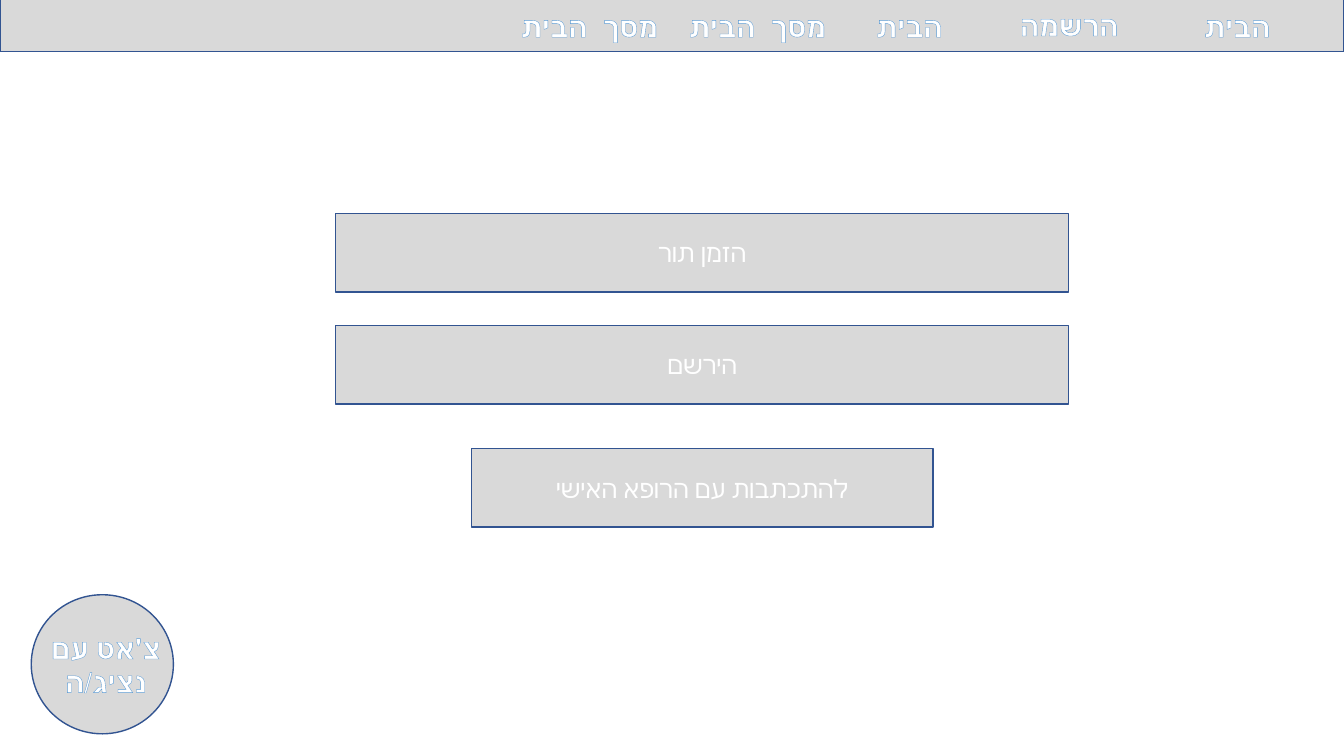
from lxml import etree
from pptx import Presentation
from pptx.dml.color import RGBColor
from pptx.enum.shapes import MSO_SHAPE
from pptx.enum.text import MSO_ANCHOR, PP_ALIGN
from pptx.oxml.ns import qn
from pptx.util import Inches, Pt

WIDE, HIGH = 13.33, 7.5
GREY = RGBColor(0xD9, 0xD9, 0xD9)
NAVY = RGBColor(0x32, 0x54, 0x91)
BLUE = RGBColor(0x5B, 0x9B, 0xD5)
WHITE = RGBColor(0xFF, 0xFF, 0xFF)
RECT, OVAL = MSO_SHAPE.RECTANGLE, MSO_SHAPE.OVAL
MIDDLE, TOP = MSO_ANCHOR.MIDDLE, MSO_ANCHOR.TOP
CENTER = PP_ALIGN.CENTER
PLAIN = {"name": "Calibri", "size": Pt(18), "bold": False}
STRONG = {"name": "Calibri", "size": Pt(20), "bold": True}


def place(box, left, top, width, height):
    x, y, w, h = box
    return [Inches(v) for v in (x + left * w, y + top * h, width * w, height * h)]


def panel(slide, kind, spot):
    shape = slide.shapes.add_shape(kind, *spot)
    shape.shadow.inherit = False
    shape.fill.solid()
    shape.fill.fore_color.rgb = GREY
    shape.line.color.rgb = NAVY
    shape.line.width = Pt(1)
    return shape


def write(shape, text, style, anchor):
    frame = shape.text_frame
    frame.word_wrap = True
    frame.vertical_anchor = anchor
    para = frame.paragraphs[0]
    para.alignment = CENTER
    para._p.get_or_add_pPr().set("rtl", "1")
    run = para.add_run()
    run.text = text
    for key, value in style.items():
        setattr(run.font, key, value)
    run.font.color.rgb = WHITE
    return run


def label(slide, spot, text):
    run = write(slide.shapes.add_textbox(*spot), text, STRONG, TOP)
    line = etree.Element(qn("a:ln"), w=str(Pt(0.8)))
    fill = etree.SubElement(line, qn("a:solidFill"))
    etree.SubElement(fill, qn("a:srgbClr"), val=str(BLUE))
    run._r.get_or_add_rPr().insert(0, line)


def menu(slide, box):
    panel(slide, RECT, place(box, 0, 0, 1, 1))
    items = [("הבית", 0.858, 0.4), ("הרשמה", 0.733, 0.385), ("הבית", 0.614, 0.4),
             ("מסך  הבית", 0.501, 0.4), ("מסך  הבית", 0.376, 0.4)]
    for text, left, top in items:
        label(slide, place(box, left, top, 0.125, 0.56), text)


def chat(slide, box):
    panel(slide, OVAL, place(box, 0, 0, 1, 1))
    label(slide, place(box, 0.05, 0.225, 0.95, 0.56), "צ'אט עם נציג/ה")


def actions(slide, box):
    items = [("הזמן תור", 0, 1), ("הירשם", 0.357, 1),
             ("להתכתבות עם הרופא האישי", 0.75, 0.63)]
    for text, top, width in items:
        spot = place(box, (1 - width) / 2, top, width, 0.25)
        write(panel(slide, RECT, spot), text, PLAIN, MIDDLE)


def main():
    deck = Presentation()
    deck.slide_width, deck.slide_height = Inches(WIDE), Inches(HIGH)
    slide = deck.slides.add_slide(deck.slide_layouts[6])
    menu(slide, (0, -0.27, WIDE, 0.78))
    chat(slide, (0.31, 5.9, 1.41, 1.38))
    actions(slide, (3.33, 2.12, 7.27, 3.11))
    deck.save("out.pptx")


if __name__ == "__main__":
    main()
